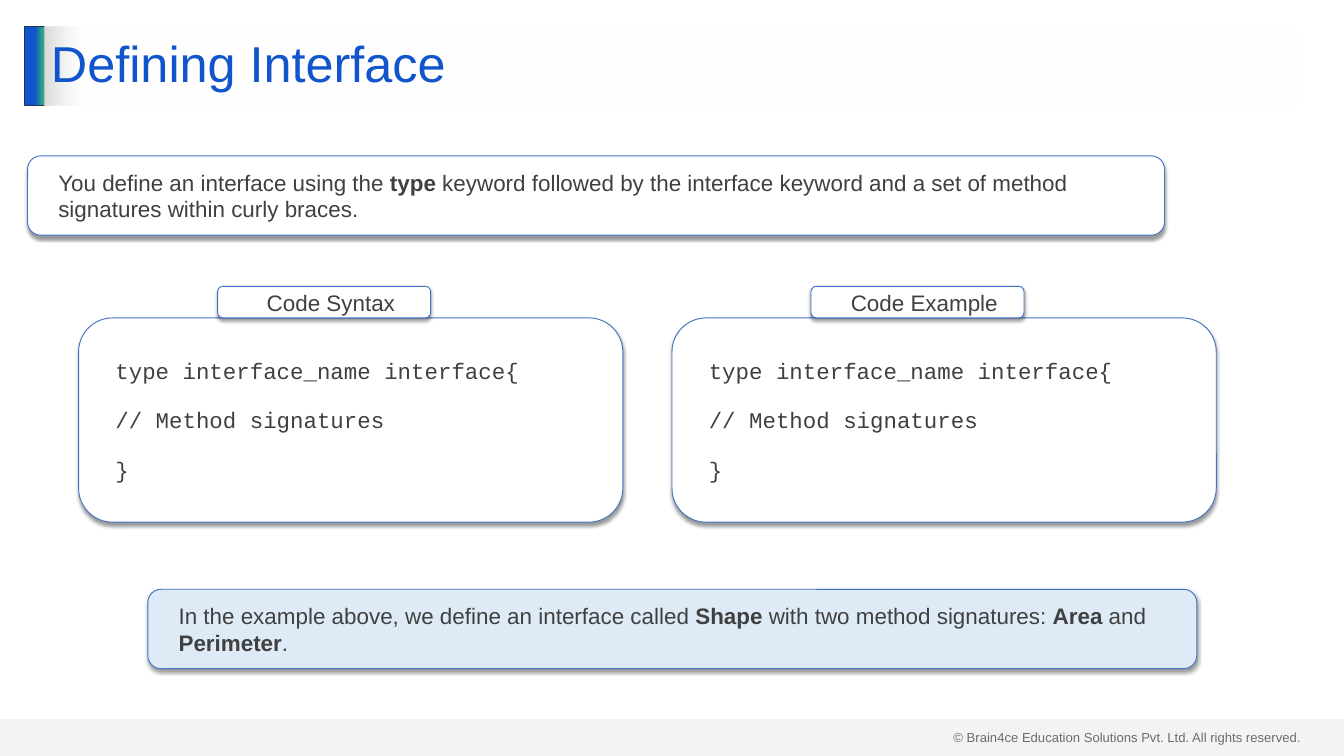
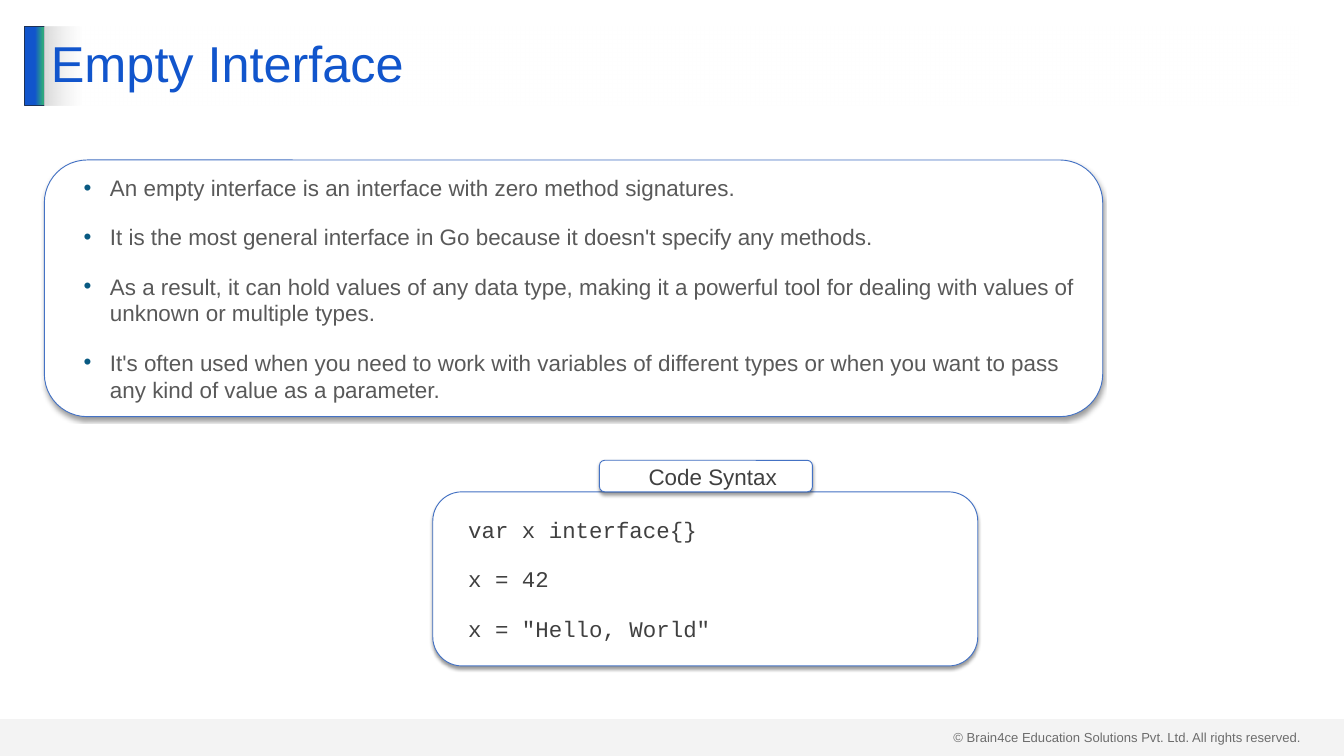
from dataclasses import dataclass

import pptx
import pptx.dml.color
import pptx.enum.shapes
import pptx.enum.text
import pptx.oxml
import pptx.oxml.ns
import pptx.util

Pt = pptx.util.Pt
SHAPE = pptx.enum.shapes.MSO_SHAPE
ALIGN = pptx.enum.text.PP_ALIGN
MIDDLE = pptx.enum.text.MSO_ANCHOR.MIDDLE
qn = pptx.oxml.ns.qn
NS = pptx.oxml.ns.nsdecls("a")


@dataclass(frozen=True)
class Theme:
    title: str = "1155CC"
    green: str = "2EA87D"
    navy: str = "1E3256"
    outline: str = "4472C4"
    white: str = "FFFFFF"
    tint: str = "DEEBF7"
    grey: str = "D9D9D9"
    text: str = "404040"
    list_text: str = "595959"
    bullet: str = "095A82"
    sans: str = "Arial"
    mono: str = "Courier New"
    title_size: int = 54
    body_size: int = 24
    footer_size: int = 14
    paragraph_gap: int = 24
    indent: float = 14.4
    bullet_indent: float = 42.5
    bullet_hang: float = 28.1


THEME = Theme()
SLIDE_W, SLIDE_H = 1440, 810
HEAD_TOP, HEAD_H = 28.1, 85
BAND_TOP = 770.4
LABEL_W, LABEL_H = 228.2, 33.8
FOOTER = "© Brain4ce Education Solutions Pvt. Ltd. All rights reserved."
INTERFACE_CODE = ["type interface_name interface{", "// Method signatures", "}"]


def rgb(value):
    return pptx.dml.color.RGBColor.from_string(value)


def style_run(r, size, color, font=THEME.sans, bold=False):
    r.font.size, r.font.name, r.font.bold = Pt(size), font, bold
    r.font.color.rgb = rgb(color)


def add_block(slide, kind, box, fill=None, line=None):
    s = slide.shapes.add_shape(kind, *map(Pt, box))
    s.shadow.inherit = False
    if fill:
        s.fill.solid()
        s.fill.fore_color.rgb = rgb(fill)
    if line:
        s.line.color.rgb = rgb(line)
        s.line.width = Pt(1)
    else:
        s.line.fill.background()
    return s


def set_gradient(s, stops):
    """Fill from left to right with (position %, colour, opacity %) stops."""
    s.fill.gradient()
    s.fill.gradient_angle = 0
    stop_list = s._element.spPr.find(qn("a:gradFill")).find(qn("a:gsLst"))
    for old in list(stop_list):
        stop_list.remove(old)
    for position, color, opacity in stops:
        stop_list.append(pptx.oxml.parse_xml(
            f'<a:gs {NS} pos="{position * 1000}"><a:srgbClr val="{color}">'
            f'<a:alpha val="{opacity * 1000}"/></a:srgbClr></a:gs>'))


def add_drop_shadow(s):
    s._element.spPr.find(qn("a:effectLst")).append(pptx.oxml.parse_xml(
        f'<a:outerShdw {NS} blurRad="{Pt(4)}" dist="{Pt(3)}" dir="5400000" '
        'algn="t" rotWithShape="0"><a:srgbClr val="000000">'
        '<a:alpha val="40000"/></a:srgbClr></a:outerShdw>'))


def add_bullet(p):
    pPr = p._p.get_or_add_pPr()
    pPr.set("marL", str(Pt(THEME.bullet_indent)))
    pPr.set("indent", str(-Pt(THEME.bullet_hang)))
    for xml in (f'<a:buClr {NS}><a:srgbClr val="{THEME.bullet}"/></a:buClr>',
                f'<a:buFont {NS} typeface="{THEME.sans}"/>',
                f'<a:buChar {NS} char="•"/>'):
        pPr.append(pptx.oxml.parse_xml(xml))


def add_card(slide, box, paragraphs, fill=THEME.white, font=THEME.sans,
             color=THEME.text, align=ALIGN.LEFT, bullets=False):
    """Rounded, shadowed box; text between ** marks is bold."""
    s = add_block(slide, SHAPE.ROUNDED_RECTANGLE, box, fill, THEME.outline)
    add_drop_shadow(s)
    tf = s.text_frame
    tf.word_wrap, tf.vertical_anchor = True, MIDDLE
    tf.margin_left = tf.margin_right = Pt(14.4)
    tf.margin_top = tf.margin_bottom = Pt(7.2)
    for i, text in enumerate(paragraphs):
        p = tf.add_paragraph() if i else tf.paragraphs[0]
        if bullets:
            add_bullet(p)
        else:
            p._p.get_or_add_pPr().set("marL", str(Pt(THEME.indent)))
        p.alignment = align
        if i:
            p.space_before = Pt(THEME.paragraph_gap)
        for j, part in enumerate(text.split("**")):
            r = p.add_run()
            r.text = part
            style_run(r, THEME.body_size, color, font, bold=j % 2 == 1)


def add_code(slide, box, label, label_offset, lines):
    """Code card with a label standing on its top edge."""
    left, top = box[:2]
    add_card(slide, box, lines, font=THEME.mono)
    add_card(slide, (left + label_offset, top - LABEL_H, LABEL_W, LABEL_H),
             [label], align=ALIGN.CENTER)


def add_footer(slide):
    tb = slide.shapes.add_textbox(Pt(1014.5), Pt(777.6), Pt(389.5), Pt(24.5))
    tf = tb.text_frame
    tf.word_wrap = True
    tf.text = FOOTER
    style_run(tf.paragraphs[0].runs[0], THEME.footer_size, THEME.text)
    band = add_block(slide, SHAPE.RECTANGLE,
                     (0, BAND_TOP, SLIDE_W, SLIDE_H - BAND_TOP), THEME.grey)
    band_color = band._element.spPr.find(qn("a:solidFill"))[0]
    band_color.append(pptx.oxml.parse_xml(f'<a:alpha {NS} val="29000"/>'))


def add_title(slide, title):
    accent = add_block(slide, SHAPE.RECTANGLE, (26.6, HEAD_TOP, 21.6, HEAD_H),
                       line=THEME.navy)
    set_gradient(accent, [(51, THEME.title, 100), (90, THEME.green, 100),
                          (100, THEME.green, 100)])
    s = add_block(slide, SHAPE.RECTANGLE, (47.5, HEAD_TOP, 1344.2, HEAD_H))
    set_gradient(s, [(0, THEME.grey, 100), (3, THEME.white, 50)])
    tf = s.text_frame
    tf.word_wrap, tf.vertical_anchor = True, MIDDLE
    tf.text = title
    p = tf.paragraphs[0]
    p.alignment, p.line_spacing = ALIGN.LEFT, 0.9
    style_run(p.runs[0], THEME.title_size, THEME.title)


def new_slide(prs, title):
    slide = prs.slides.add_slide(prs.slide_layouts[6])
    add_footer(slide)
    add_title(slide, title)
    return slide


def build_defining_interface(prs):
    slide = new_slide(prs, "Defining Interface")
    add_card(slide, (29.5, 167, 1218.2, 85), [
        "You define an interface using the **type** keyword followed by the "
        "interface keyword and a set of method signatures within curly braces."])
    for left, label in ((84.2, "Code Syntax"), (720, "Code Example")):
        add_code(slide, (left, 340.6, 583.2, 218.9), label, 149, INTERFACE_CODE)
    add_card(slide, (158.4, 631.4, 1123.9, 85), [
        "In the example above, we define an interface called **Shape** with "
        "two method signatures: **Area** and **Perimeter**."], fill=THEME.tint)


def build_empty_interface(prs):
    slide = new_slide(prs, "Empty Interface")
    add_code(slide, (463.7, 527, 583.9, 186.5), "Code Syntax", 178.6,
             ["var x interface{}", "x = 42", 'x = "Hello, World"'])
    add_card(slide, (47.5, 171.4, 1134, 275), [
        "An empty interface is an interface with zero method signatures.",
        "It is the most general interface in Go because it doesn't specify "
        "any methods.",
        "As a result, it can hold values of any data type, making it a powerful "
        "tool for dealing with values of unknown or multiple types.",
        "It's often used when you need to work with variables of different types "
        "or when you want to pass any kind of value as a parameter.",
    ], color=THEME.list_text, bullets=True)


def main():
    prs = pptx.Presentation()
    prs.slide_width, prs.slide_height = Pt(SLIDE_W), Pt(SLIDE_H)
    build_defining_interface(prs)
    build_empty_interface(prs)
    prs.save("out.pptx")


if __name__ == "__main__":
    main()
